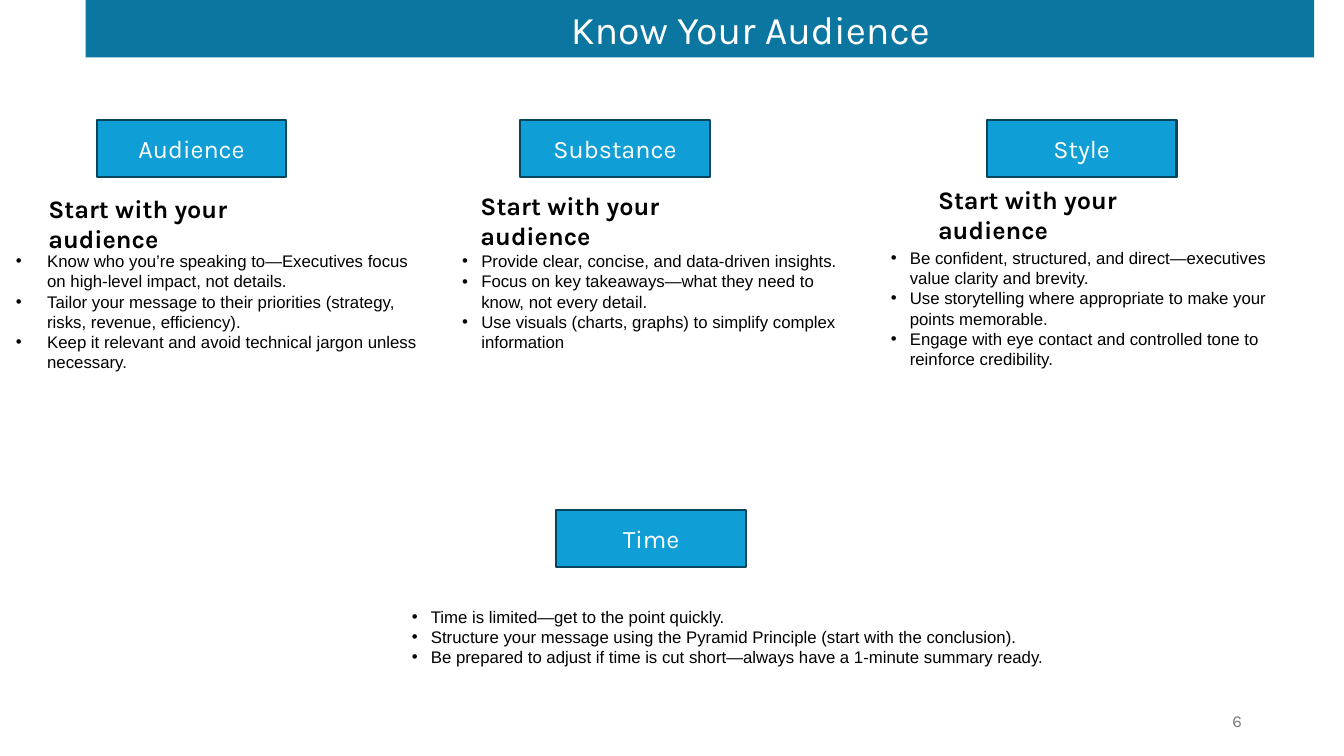
from dataclasses import dataclass
from lxml.etree import SubElement as Sub
from pptx import Presentation
from pptx.dml.color import RGBColor as Rgb
from pptx.enum.shapes import MSO_SHAPE as Kind
from pptx.enum.text import MSO_ANCHOR as Anchor, PP_ALIGN as Align
from pptx.oxml.ns import qn
from pptx.util import Cm, Pt


@dataclass(frozen=True)
class Theme:
    band: str = "0B76A0"
    tag: str = "0F9ED5"
    edge: str = "07455D"
    white: str = "FFFFFF"
    black: str = "000000"
    gray: str = "797979"
    face: str = "Karla"
    plain: str = "Arial"
    title: int = 28
    head: int = 18
    body: int = 12


@dataclass(frozen=True)
class Box:
    left: float
    top: float
    width: float
    height: float

    def offset(self, dx, dy, width, height):
        return Box(self.left + dx, self.top + dy, width, height)

    def cm(self):
        return [Cm(n) for n in (self.left, self.top, self.width, self.height)]


@dataclass(frozen=True)
class Topic:
    name: str
    box: Box
    head: tuple
    body: tuple
    indent: float
    points: tuple


THEME = Theme()
HEAD = "Start with your audience"
TOPICS = (
    Topic("Audience", Box(2.44, 3.02, 4.78, 1.45),
          (-1.47, 1.73, 7.72, 1.8), (-2.29, 3.18, 10.9, 3.3), 0.79, (
        "Know who you’re speaking to—Executives focus on high-level impact, not details.",
        "Tailor your message to their priorities (strategy, risks, revenue, efficiency).",
        "Keep it relevant and avoid technical jargon unless necessary.")),
    Topic("Substance", Box(13.11, 3.02, 4.78, 1.45),
          (-1.25, 1.65, 7.72, 1.8), (-1.71, 3.18, 10.31, 2.8), 0.48, (
        "Provide clear, concise, and data-driven insights.",
        "Focus on key takeaways—what they need to know, not every detail.",
        "Use visuals (charts, graphs) to simplify complex information")),
    Topic("Style", Box(24.87, 3.02, 4.78, 1.45),
          (-1.48, 1.5, 7.72, 1.8), (-2.67, 3.1, 11.07, 3.3), 0.48, (
        "Be confident, structured, and direct—executives value clarity and brevity.",
        "Use storytelling where appropriate to make your points memorable.",
        "Engage with eye contact and controlled tone to reinforce credibility.")),
    Topic("Time", Box(14.02, 12.85, 4.78, 1.45),
          (), (-3.89, 2.31, 16.7, 1.8), 0.48, (
        "Time is limited—get to the point quickly.",
        "Structure your message using the Pyramid Principle (start with the conclusion).",
        "Be prepared to adjust if time is cut short—always have a 1-minute summary ready.")),
)


def style(para, size, color, face=THEME.face, bold=False, align=Align.LEFT):
    para.alignment = align
    for run in para.runs:
        font = run.font
        font.size, font.name, font.bold = Pt(size), face, bold
        font.color.rgb = Rgb.from_string(color)


def block(slide, box, text, fill, size, edge=None):
    shape = slide.shapes.add_shape(Kind.RECTANGLE, *box.cm())
    shape.shadow.inherit = False
    shape.fill.solid()
    shape.fill.fore_color.rgb = Rgb.from_string(fill)
    if edge:
        shape.line.color.rgb = Rgb.from_string(edge)
        shape.line.width = Pt(1.5)
    else:
        shape.line.fill.background()
    frame = shape.text_frame
    frame.text = text
    frame.vertical_anchor = Anchor.MIDDLE
    style(frame.paragraphs[0], size, THEME.white, align=Align.CENTER)
    return frame


def note(slide, box, text):
    frame = slide.shapes.add_textbox(*box.cm()).text_frame
    frame.word_wrap = True
    frame.text = text
    return frame


def banner(slide, box):
    frame = block(slide, box, "Know Your Audience", THEME.band, THEME.title)
    frame.vertical_anchor = Anchor.TOP
    frame.margin_left = Cm(2.79)


def bullets(slide, box, points, indent):
    frame = note(slide, box, "\n".join(points))
    for para in frame.paragraphs:
        props = para._p.get_or_add_pPr()
        props.set("marL", str(Cm(indent)))
        props.set("indent", str(-Cm(indent)))
        Sub(props, qn("a:buFont"), typeface=THEME.plain)
        Sub(props, qn("a:buChar"), char="•")
        style(para, THEME.body, THEME.black, THEME.plain)


def topic(slide, item):
    box = item.box
    block(slide, box, item.name, THEME.tag, THEME.head, THEME.edge)
    if item.head:
        frame = note(slide, box.offset(*item.head), HEAD)
        style(frame.paragraphs[0], THEME.head, THEME.black, bold=True)
    bullets(slide, box.offset(*item.body), item.points, item.indent)


def footer(slide, box):
    frame = note(slide, box, "6")
    frame.vertical_anchor = Anchor.MIDDLE
    style(frame.paragraphs[0], THEME.body, THEME.gray, align=Align.RIGHT)


def main():
    deck = Presentation()
    deck.slide_width, deck.slide_height = Cm(33.87), Cm(19.05)
    slide = deck.slides.add_slide(deck.slide_layouts[6])
    banner(slide, Box(2.16, 0, 30.96, 1.45))
    for item in TOPICS:
        topic(slide, item)
    footer(slide, Box(23.93, 17.65, 7.62, 1.02))
    deck.save("out.pptx")


if __name__ == "__main__":
    main()
